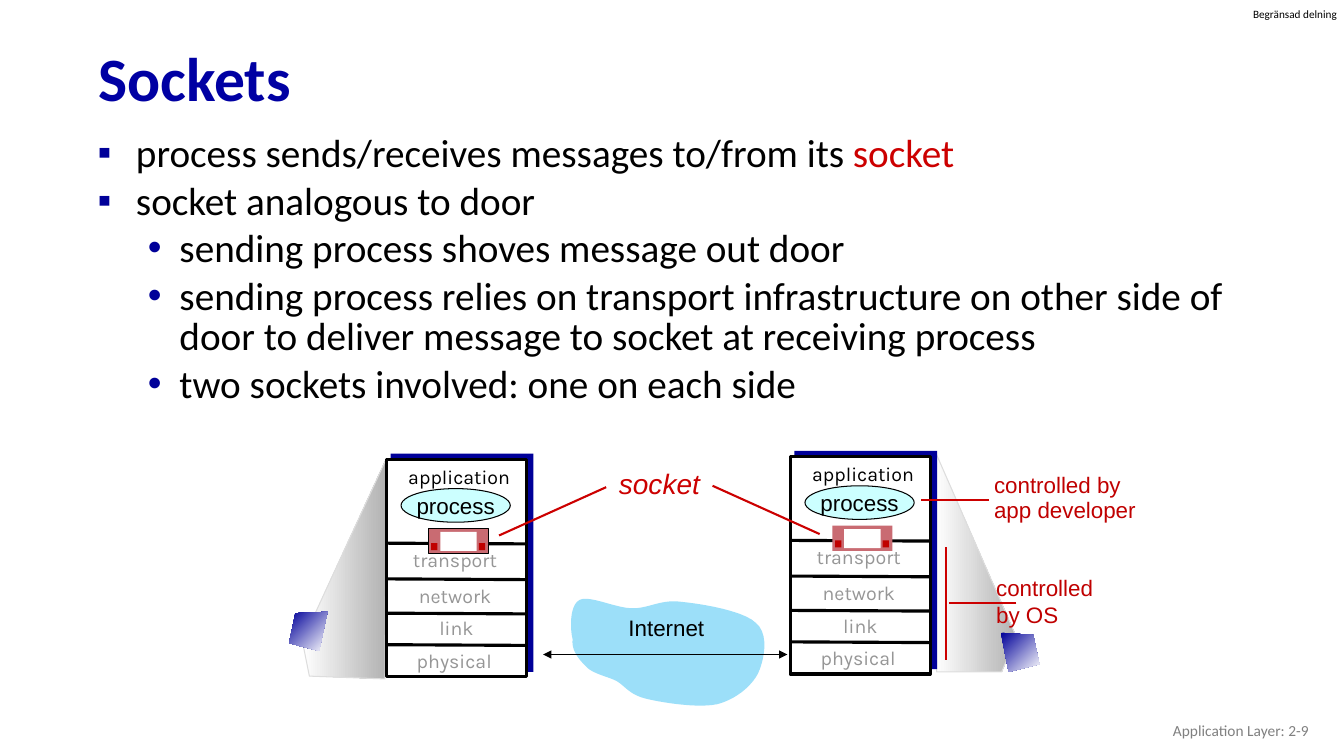
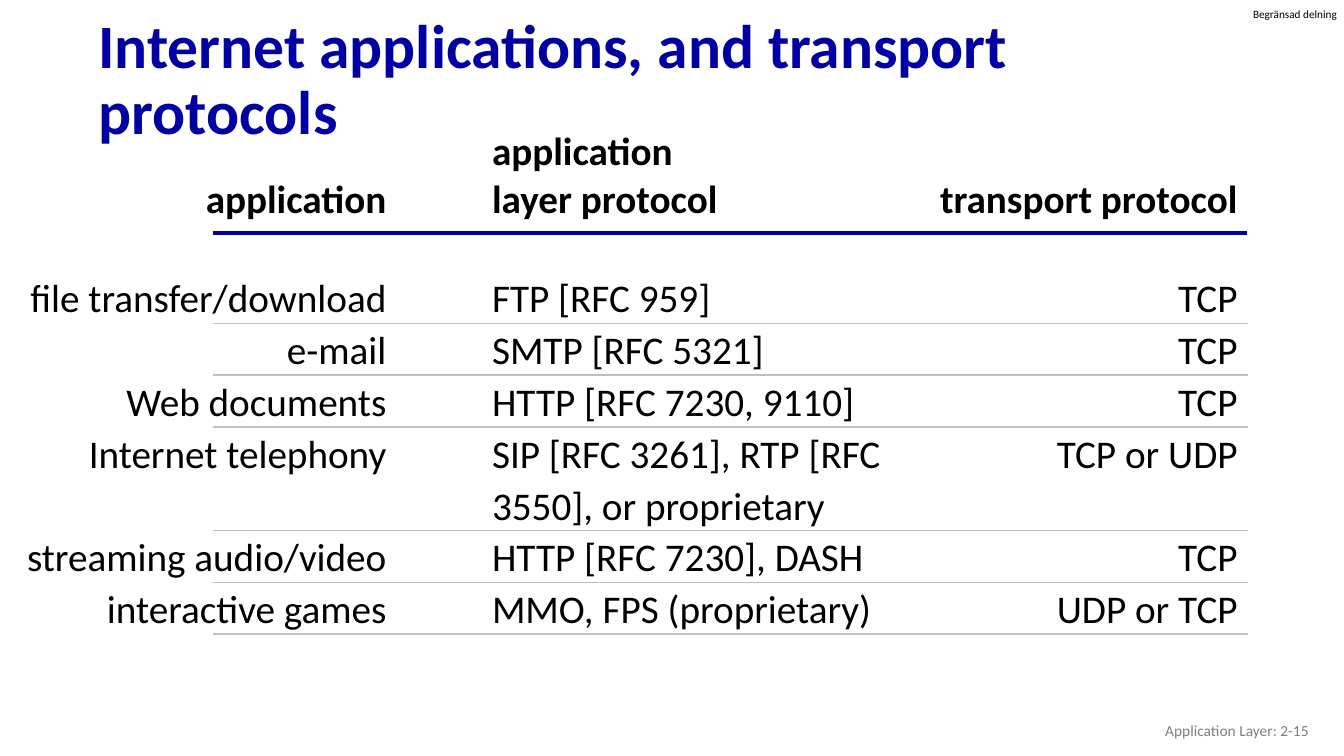
from itertools import accumulate

from lxml.etree import SubElement
from pptx import Presentation
from pptx.dml.color import RGBColor
from pptx.enum.shapes import MSO_CONNECTOR, MSO_SHAPE
from pptx.enum.text import MSO_ANCHOR, MSO_AUTO_SIZE, PP_ALIGN
from pptx.oxml.ns import qn
from pptx.util import Pt

BLACK = RGBColor(0x00, 0x00, 0x00)
WHITE = RGBColor(0xFF, 0xFF, 0xFF)
TITLE_BLUE = RGBColor(0x00, 0x00, 0xA3)
DEEP_BLUE = RGBColor(0x00, 0x00, 0x99)
RED = RGBColor(0xCC, 0x00, 0x00)
DARK_RED = RGBColor(0xC0, 0x00, 0x00)
SOCKET_PINK = RGBColor(0xC9, 0x6B, 0x72)
PROCESS_CYAN = RGBColor(0xCC, 0xFF, 0xFF)
CLOUD_BLUE = RGBColor(0x9C, 0xDF, 0xF9)
LAYER_GREY = RGBColor(0x96, 0x96, 0x96)
FOOTER_GREY = RGBColor(0x80, 0x80, 0x80)
RULE_GREY = RGBColor(0xBF, 0xBF, 0xBF)
BEAM_GREY = RGBColor(0xB2, 0xB2, 0xB2)
BEAM_EDGE = RGBColor(0xDD, 0xDD, 0xDD)

TITLE_ONLY, TITLE_AND_CONTENT = 5, 1

BULLETS = [
    (0, [("process sends/receives messages to/from its ", BLACK), ("socket", RED)]),
    (0, "socket analogous to door"),
    (1, "sending process shoves message out door"),
    (1, "sending process relies on transport infrastructure on other side of "
        "door to deliver message to socket at receiving process"),
    (1, "two sockets involved: one on each side"),
]
# level: bullet character, left margin, hanging indent
BULLET_STYLES = {0: ("▪", 27.4, 27.4), 1: ("•", 58.5, 22.5)}

# name, left and top within the host, colour
LAYERS = [
    ("application", 0, -1, BLACK),
    ("transport", -3, 58, LAYER_GREY),
    ("network", -3, 84, LAYER_GREY),
    ("link", -2, 107, LAYER_GREY),
    ("physical", -3.5, 130, LAYER_GREY),
]
LAYER_DIVIDERS = [60, 85.5, 110, 132.5]

CLOUD_START = (409, 456.5)
CLOUD_CURVES = [
    ((407, 448.5), (407, 432), (414, 428.5)),
    ((421, 425), (438.5, 434), (451, 434.5)),
    ((463, 435), (472.5, 427.5), (487.5, 430)),
    ((502.5, 431.5), (531.5, 436.5), (540, 445)),
    ((549.5, 453), (546, 471), (541.5, 481)),
    ((536.5, 490.5), (525.5, 499.5), (512.5, 503)),
    ((499, 506), (473, 502), (461, 499)),
    ((449.5, 496), (447, 490.5), (440.5, 486.5)),
    ((433.5, 483), (424, 481.5), (419, 476.5)),
    ((414, 471.5), (408, 465), CLOUD_START),
]

PROTOCOL_ROWS = [
    ("application", "application\nlayer protocol", "transport protocol"),
    ("file transfer/download", "FTP [RFC 959]", "TCP"),
    ("e-mail", "SMTP [RFC 5321]", "TCP"),
    ("Web documents", "HTTP [RFC 7230, 9110]", "TCP"),
    ("Internet telephony", "SIP [RFC 3261], RTP [RFC 3550], or proprietary", "TCP or UDP"),
    ("streaming audio/video", "HTTP [RFC 7230], DASH", "TCP"),
    ("interactive games", "MMO, FPS (proprietary)", "UDP or TCP"),
]
TABLE_LEFT, TABLE_TOP = 10, 92
COLUMN_WIDTHS = [266, 378, 230]
LINE_HEIGHT = 37
HEADER_HEIGHT, HEADER_GAP, HEADER_LINE = 102, 34, 34
ROW_HEIGHTS = [HEADER_HEIGHT] + [LINE_HEIGHT * n for n in (1, 1, 1, 2, 1, 1)]


def points(values):
    return [Pt(value) for value in values]


def write(frame, lines, size=16, font="Arial", colour=BLACK, bold=False, italic=False,
          align=PP_ALIGN.LEFT, spacing=None, anchor=MSO_ANCHOR.TOP, margin=None, wrap=True):
    """Fill a frame; each line is a string or a list of (text, colour) runs."""
    frame.word_wrap = wrap
    frame.auto_size = MSO_AUTO_SIZE.NONE
    frame.vertical_anchor = anchor
    if margin is not None:
        frame.margin_left = frame.margin_right = Pt(margin)
        frame.margin_top = frame.margin_bottom = Pt(margin)
    for index, line_text in enumerate(lines):
        paragraph = frame.add_paragraph() if index else frame.paragraphs[0]
        paragraph.alignment = align
        paragraph.line_spacing = spacing
        runs = [(line_text, colour)] if isinstance(line_text, str) else line_text
        for words, run_colour in runs:
            run = paragraph.add_run()
            run.text = words
            run.font.name = font
            run.font.size = Pt(size)
            run.font.bold = bold
            run.font.italic = italic
            run.font.color.rgb = run_colour


def label(slide, box, words, **style):
    text_box = slide.shapes.add_textbox(*points(box))
    write(text_box.text_frame, words.split("\n"), **style)


def paint(shape, fill, edge=None, weight=0.75):
    shape.shadow.inherit = False
    shape.fill.solid()
    shape.fill.fore_color.rgb = fill
    outline(shape, edge, weight)


def outline(shape, colour, weight=0.75):
    if colour is None:
        shape.line.fill.background()
    else:
        shape.line.color.rgb = colour
        shape.line.width = Pt(weight)


def block(slide, box, fill, edge=None, weight=0.75, kind=MSO_SHAPE.RECTANGLE):
    shape = slide.shapes.add_shape(kind, *points(box))
    paint(shape, fill, edge, weight)
    return shape


def line(slide, start, end, colour, weight, arrows=False):
    connector = slide.shapes.add_connector(MSO_CONNECTOR.STRAIGHT, *points(start + end))
    connector.line.color.rgb = colour
    connector.line.width = Pt(weight)
    if arrows:
        for tag in ("a:headEnd", "a:tailEnd"):
            SubElement(connector.line._get_or_add_ln(), qn(tag), type="triangle")
    SubElement(connector._element.spPr, qn("a:effectLst"))


def polygon(slide, corners):
    builder = slide.shapes.build_freeform(*points(corners[0]))
    builder.add_line_segments([points(corner) for corner in corners[1:]], close=True)
    shape = builder.convert_to_shape()
    shape.shadow.inherit = False
    return shape


def gradient_polygon(slide, corners, colours, angle, edge=None):
    shape = polygon(slide, corners)
    shape.fill.gradient()
    shape.fill.gradient_angle = angle
    for stop, colour in zip(shape.fill.gradient_stops, colours):
        stop.color.rgb = colour
    outline(shape, edge)


def trace_curves(start, curves, steps=10):
    """Return the points along a chain of cubic Bézier curves."""
    trace = [start]
    for control_1, control_2, end in curves:
        begin = trace[-1]
        for t in (step / steps for step in range(1, steps + 1)):
            weights = ((1 - t) ** 3, 3 * t * (1 - t) ** 2, 3 * t * t * (1 - t), t ** 3)
            anchors = (begin, control_1, control_2, end)
            trace.append(tuple(sum(w * p[axis] for w, p in zip(weights, anchors))
                               for axis in (0, 1)))
    return trace


def place(shape, box):
    shape.left, shape.top, shape.width, shape.height = points(box)


def new_slide(deck, layout, title, number):
    slide = deck.slides.add_slide(deck.slide_layouts[layout])
    label(slide, (895, 5, 65, 10), "Begränsad delning", size=8, font="Calibri", margin=0)
    place(slide.shapes.title, (63, 23, 828, 70.5))
    write(slide.shapes.title.text_frame, [title], size=44, font="Calibri", bold=True,
          colour=TITLE_BLUE, spacing=0.9, anchor=MSO_ANCHOR.MIDDLE)
    label(slide, (726, 507.5, 216, 29), f"Application Layer: {number}", size=11,
          font="Calibri", colour=FOOTER_GREY, align=PP_ALIGN.RIGHT, anchor=MSO_ANCHOR.MIDDLE)
    return slide


def bullet_list(body, items):
    write(body.text_frame, [words for _, words in items], size=28, font="Calibri", spacing=0.85)
    for index, (level, _) in enumerate(items):
        character, margin, hanging = BULLET_STYLES[level]
        paragraph = body.text_frame.paragraphs[index]
        paragraph.level = level
        paragraph.space_before = Pt(5.6 if index else 0)
        properties = paragraph._p.get_or_add_pPr()
        properties.set("marL", str(Pt(margin)))
        properties.set("indent", str(-Pt(hanging)))
        colour = SubElement(properties, qn("a:buClr"))
        SubElement(colour, qn("a:srgbClr"), val=str(DEEP_BLUE))
        SubElement(properties, qn("a:buFont"), typeface="Arial")
        SubElement(properties, qn("a:buChar"), char=character)


def host(slide, left, top, socket_edge=None):
    """Draw a protocol stack with its process and socket."""
    block(slide, (left + 3, top - 4, 102, 156), DEEP_BLUE)
    block(slide, (left, top, 100, 155.5), WHITE, BLACK, 2.25)
    for y in LAYER_DIVIDERS:
        line(slide, (left, top + y), (left + 100, top + y + 0.5), BLACK, 2.25)
    for name, x, y, colour in LAYERS:
        label(slide, (left + x, top + y, 104, 26), name, size=14, font="Karla",
              colour=colour, align=PP_ALIGN.CENTER, spacing=1.1)
    process = block(slide, (left + 10.5, top + 21, 78, 24), PROCESS_CYAN, BLACK,
                    kind=MSO_SHAPE.OVAL)
    write(process.text_frame, ["process"], align=PP_ALIGN.CENTER,
          anchor=MSO_ANCHOR.MIDDLE, margin=0, wrap=False)
    x, y = left + 30, top + 49.5
    block(slide, (x, y, 43, 18), SOCKET_PINK, socket_edge)
    block(slide, (x + 8.5, y + 2.5, 26, 13.5), WHITE)
    for knob in (2, 36):
        block(slide, (x + knob, y + 10.5, 4.5, 5), DARK_RED)


def sockets_slide(deck):
    slide = new_slide(deck, TITLE_AND_CONTENT, "Sockets", "2-9")
    body = slide.placeholders[1]
    place(body, (62.5, 93, 863, 183.5))
    bullet_list(body, BULLETS)

    beam = (WHITE, BEAM_GREY)
    gradient_polygon(slide, [(726, 455), (668, 322.5), (669, 480), (715.5, 480)],
                     beam, 0, BEAM_EDGE)
    paint(polygon(slide, trace_curves(CLOUD_START, CLOUD_CURVES)), CLOUD_BLUE)
    label(slide, (436, 435, 80, 27), "Internet", align=PP_ALIGN.CENTER)
    line(slide, (388, 467.5), (562.5, 467.5), BLACK, 0.75, arrows=True)
    label(slide, (704.5, 406.5, 100, 65), "controlled\nby OS", colour=DARK_RED)
    label(slide, (703, 335.5, 130, 42), "controlled by\napp developer",
          colour=DARK_RED, spacing=0.9)
    gradient_polygon(slide, [(216, 458), (276, 327.5), (275, 485), (221, 483)],
                     beam, 0, BEAM_EDGE)
    host(slide, 276, 328, socket_edge=BLACK)
    host(slide, 564.5, 326)

    label(slide, (435, 332.5, 80, 29), "socket", size=20, colour=RED, italic=True, spacing=0.9)
    for start, end in [((706.5, 357), (658, 357)), ((676, 391), (676, 471.5)),
                       ((726, 430.5), (678, 430.5)), ((356.5, 382.5), (433, 348)),
                       ((585.5, 381.5), (509, 347))]:
        line(slide, start, end, RED, 1.5)
    laptop = (DEEP_BLUE, WHITE)
    gradient_polygon(slide, [(234, 437), (211, 438), (206.5, 459.5), (228, 465)], laptop, 315)
    gradient_polygon(slide, [(715, 452), (738, 453.5), (742.5, 474.5), (720.5, 480)], laptop, 315)


def clear_cell(cell):
    """Remove the borders and the fill that the table style gives."""
    properties = cell._tc.get_or_add_tcPr()
    for tag in ("a:lnL", "a:lnR", "a:lnT", "a:lnB"):
        SubElement(SubElement(properties, qn(tag), w="0"), qn("a:noFill"))
    cell.fill.background()


def protocol_table(slide):
    table = slide.shapes.add_table(
        len(PROTOCOL_ROWS), len(COLUMN_WIDTHS),
        *points((TABLE_LEFT, TABLE_TOP, sum(COLUMN_WIDTHS), sum(ROW_HEIGHTS)))).table
    table.first_row = table.horz_banding = False
    for column, width in zip(table.columns, COLUMN_WIDTHS):
        column.width = Pt(width)
    for r, row in enumerate(PROTOCOL_ROWS):
        table.rows[r].height = Pt(ROW_HEIGHTS[r])
        is_header = r == 0
        for c, words in enumerate(row):
            cell = table.cell(r, c)
            clear_cell(cell)
            cell.margin_left = Pt(75.5 if c == 1 else 0)
            cell.margin_right = cell.margin_top = 0
            cell.margin_bottom = Pt(HEADER_GAP if is_header else 0)
            write(cell.text_frame, words.split("\n"), size=28, font="Calibri", bold=is_header,
                  align=PP_ALIGN.LEFT if c == 1 else PP_ALIGN.RIGHT,
                  spacing=Pt(HEADER_LINE if is_header else LINE_HEIGHT))
            cell.vertical_anchor = MSO_ANCHOR.BOTTOM if is_header else MSO_ANCHOR.TOP


def protocols_slide(deck):
    slide = new_slide(deck, TITLE_ONLY, "Internet applications, and transport protocols", "2-15")
    protocol_table(slide)
    line(slide, (152, 166.5), (891, 166.5), TITLE_BLUE, 2.5)
    for bottom in list(accumulate(ROW_HEIGHTS, initial=TABLE_TOP))[2:]:
        line(slide, (152.5, bottom), (891.5, bottom), RULE_GREY, 1.25)


def main():
    deck = Presentation()
    deck.slide_width, deck.slide_height = Pt(960), Pt(540)
    sockets_slide(deck)
    protocols_slide(deck)
    deck.save("out.pptx")


if __name__ == "__main__":
    main()
